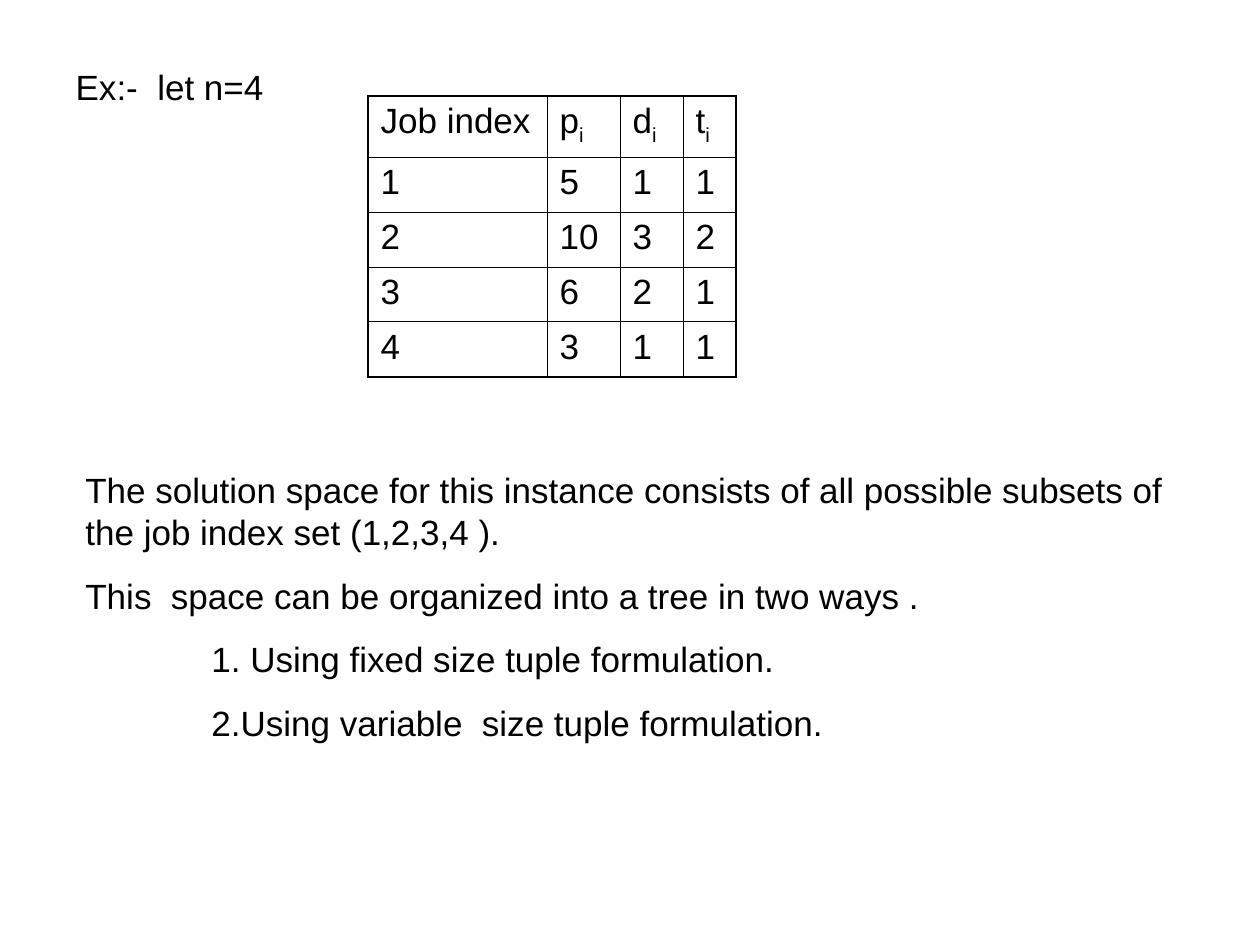
import pptx
import pptx.dml.color
import pptx.enum.text
import pptx.oxml
import pptx.oxml.ns
import pptx.util

PX_PER_INCH = 126
BLACK = pptx.dml.color.RGBColor(0, 0, 0)
WHITE = pptx.dml.color.RGBColor(255, 255, 255)
THIN, THICK = 0.45, 1.08

HEADINGS = ["Job index", "p", "d", "t"]
JOBS = [(1, 5, 1, 1), (2, 10, 3, 2), (3, 6, 2, 1), (4, 3, 1, 1)]
COLUMN_WIDTHS = [179, 73, 63, 53]
HEADING_HEIGHT, JOB_HEIGHT = 61, 55

EXPLANATION = [
    "The solution space for this instance consists of all possible subsets of "
    "the job index set (1,2,3,4 ).",
    "This  space can be organized into a tree in two ways .",
]
FORMULATIONS = [
    "1. Using fixed size tuple formulation.",
    "2.Using variable  size tuple formulation.",
]


def px(length):
    return pptx.util.Emu(round(length * 914400 / PX_PER_INCH))


def format_paragraph(paragraph, space_before):
    paragraph.space_before = pptx.util.Pt(space_before)
    for run in paragraph.runs:
        run.font.size = pptx.util.Pt(20)
        run.font.name = "Arial"
        run.font.color.rgb = BLACK


def set_indent(paragraph, margin, first_line=0):
    """Indent a paragraph and keep it free of bullets."""
    properties = paragraph._p.get_or_add_pPr()
    properties.set("marL", str(px(margin)))
    properties.set("indent", str(px(first_line)))
    properties.append(pptx.oxml.parse_xml(
        f'<a:buNone {pptx.oxml.ns.nsdecls("a")}/>'))


def set_borders(cell, widths):
    """Draw the left, right, top and bottom borders, widths in points."""
    properties = cell._tc.get_or_add_tcPr()
    for position, (side, width) in enumerate(zip("LRTB", widths)):
        properties.insert(position, pptx.oxml.parse_xml(
            f'<a:ln{side} {pptx.oxml.ns.nsdecls("a")} w="{pptx.util.Pt(width)}">'
            f'<a:solidFill><a:srgbClr val="{BLACK}"/></a:solidFill></a:ln{side}>'))


def add_example(slide):
    example = slide.placeholders[1]
    example.left, example.top = px(63), px(59)
    example.width, example.height = px(557), px(624)
    frame = example.text_frame
    frame.auto_size = pptx.enum.text.MSO_AUTO_SIZE.NONE
    frame.text = "Ex:-  let n=4"
    format_paragraph(frame.paragraphs[0], 5)
    set_indent(frame.paragraphs[0], 48, -48)


def add_jobs_table(slide):
    rows = [HEADINGS, *JOBS]
    heights = [HEADING_HEIGHT] + [JOB_HEIGHT] * len(JOBS)
    jobs = slide.shapes.add_table(
        len(rows), len(HEADINGS), px(368), px(96),
        px(sum(COLUMN_WIDTHS)), px(sum(heights))).table
    for column, width in zip(jobs.columns, COLUMN_WIDTHS):
        column.width = px(width)
    last_row, last_column = len(rows) - 1, len(HEADINGS) - 1
    for r, (values, height) in enumerate(zip(rows, heights)):
        jobs.rows[r].height = px(height)
        for c, value in enumerate(values):
            cell = jobs.cell(r, c)
            cell.fill.solid()
            cell.fill.fore_color.rgb = WHITE
            outer_sides = (c == 0, c == last_column, r == 0, r == last_row)
            set_borders(cell, [THICK if outer else THIN for outer in outer_sides])
            paragraph = cell.text_frame.paragraphs[0]
            paragraph.text = str(value)
            if r == 0 and c > 0:
                subscript = paragraph.add_run()
                subscript.text = "i"
                subscript.font._element.set("baseline", "-25000")
            format_paragraph(paragraph, 5)
            for run in paragraph.runs:
                run.font.bold = False


def add_explanation(slide):
    frame = slide.shapes.add_textbox(px(73), px(462), px(1134), px(289)).text_frame
    frame.word_wrap = True
    frame.text = "\n".join(EXPLANATION + FORMULATIONS)
    for paragraph in frame.paragraphs:
        format_paragraph(paragraph, 12.5)
        set_indent(paragraph, PX_PER_INCH if paragraph.text in FORMULATIONS else 0)


def main():
    deck = pptx.Presentation()
    deck.slide_width, deck.slide_height = px(1260), px(945)
    slide = deck.slides.add_slide(deck.slide_layouts[1])
    title = slide.shapes.title._element
    title.getparent().remove(title)
    add_example(slide)
    add_jobs_table(slide)
    add_explanation(slide)
    deck.save("out.pptx")


if __name__ == "__main__":
    main()
